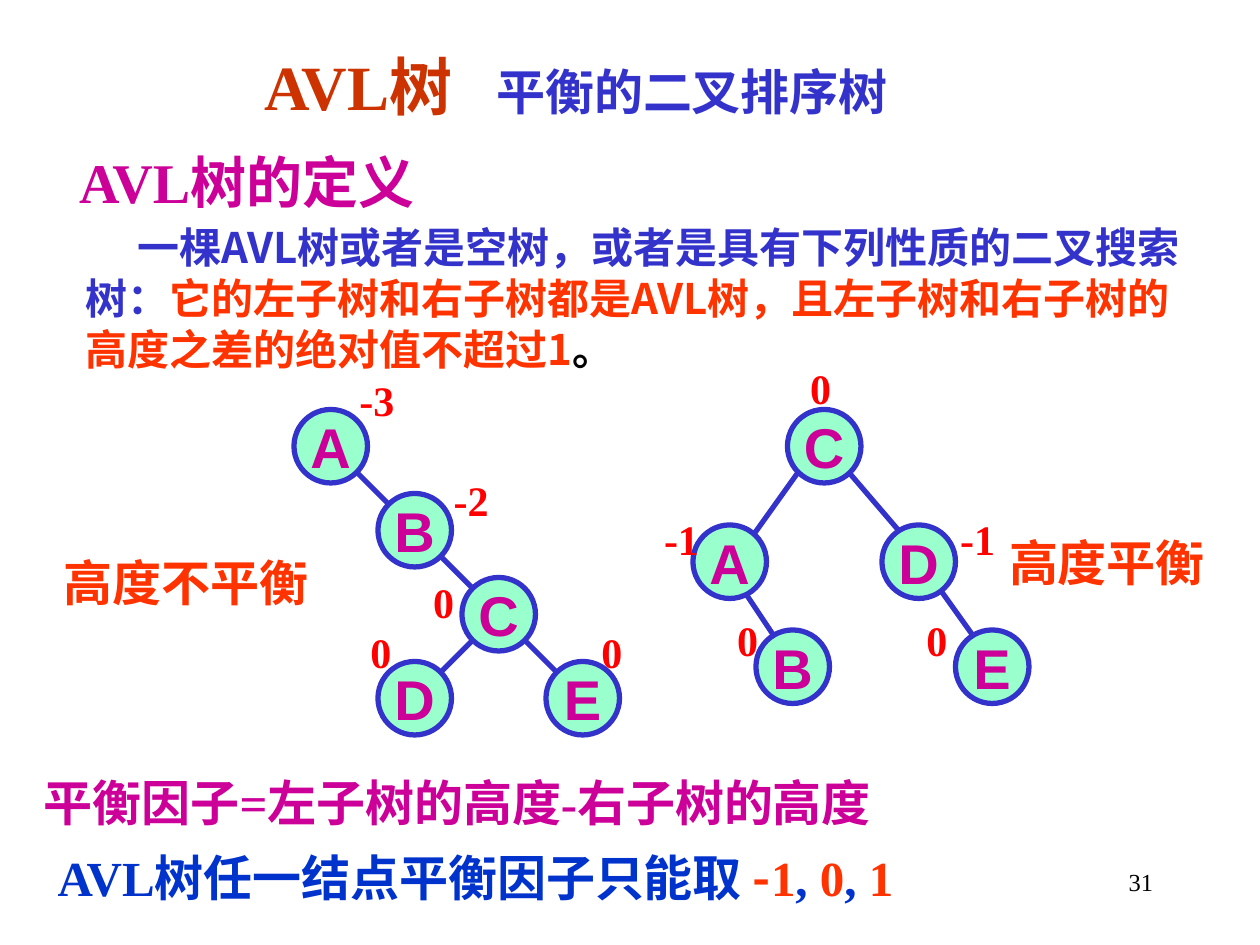
from dataclasses import dataclass

from lxml import etree
from pptx import Presentation
from pptx.dml.color import RGBColor
from pptx.enum.shapes import MSO_CONNECTOR, MSO_SHAPE
from pptx.enum.text import MSO_ANCHOR, PP_ALIGN
from pptx.oxml.ns import qn
from pptx.util import Inches, Pt

OVAL = MSO_SHAPE.OVAL
LINE = MSO_CONNECTOR.STRAIGHT
MIDDLE = MSO_ANCHOR.MIDDLE
CENTER, RIGHT = PP_ALIGN.CENTER, PP_ALIGN.RIGHT


@dataclass(frozen=True)
class Theme:
    serif: str = "Times New Roman"
    sans: str = "Arial"
    han: str = "Noto Sans CJK SC"
    rust: str = "CC3300"
    blue: str = "3333CC"
    royal: str = "0033CC"
    pink: str = "CC0099"
    orange: str = "FF3300"
    red: str = "FF0000"
    mint: str = "99FFCC"
    black: str = "000000"
    title: int = 36
    head: int = 32
    sub: int = 28
    body: int = 24
    foot: int = 14
    lead: float = 1.21


T = Theme()
UNIT = 1 / 12  # trees sit on a grid of twelfths of an inch
NODE = 7 * UNIT

# name, column, row, factor, and the factor's offset from the node in inches
LEFT_NODES = [
    ("A", 0, 0, "-3", 0.52, -0.28),
    ("B", 8, 8, "-2", 0.6, -0.15),
    ("C", 16, 16, "0", -0.23, -0.01),
    ("D", 8, 24, "0", -0.06, -0.28),
    ("E", 24, 24, "0", 0.44, -0.28),
]
LEFT_EDGES = [(20, 20, 26, 26), (12, 12, 18, 18), (4, 4, 10, 10),
              (18, 21, 12, 27)]
RIGHT_NODES = [
    ("A", 0, 11, "-1", -0.23, -0.09),
    ("B", 6, 21, "0", -0.15, -0.12),
    ("C", 9, 0, "0", 0.18, -0.37),
    ("D", 18, 11, "-1", 0.62, -0.09),
    ("E", 25, 21, "0", -0.23, -0.12),
]
RIGHT_EDGES = [(4, 16, 8, 22), (22, 15, 27, 22), (14, 5, 20, 12),
               (10, 6, 5, 13)]


def color(code):
    return RGBColor.from_string(code)


def add_run(para, text, size, code, font=T.serif, bold=True):
    run = para.add_run()
    run.text = text
    run.font.size, run.font.bold, run.font.name = Pt(size), bold, font
    run.font.color.rgb = color(code)
    east = etree.SubElement(run._r.get_or_add_rPr(), qn("a:ea"))
    east.set("typeface", T.han)


def add_text(slide, box, runs, lead=T.lead):
    """Place one paragraph of runs in a text box and return the frame."""
    frame = slide.shapes.add_textbox(*map(Inches, box)).text_frame
    frame.word_wrap = True
    para = frame.paragraphs[0]
    for run in runs:
        add_run(para, *run)
    if lead:
        para.line_spacing = Pt(round(runs[0][1] * lead))
    return frame


def add_title(slide, box):
    frame = add_text(slide, box, [
        ("AVL树\t", T.title, T.rust),
        ("平衡的二叉排序树", T.sub, T.blue),
    ])
    frame.vertical_anchor = MIDDLE
    props = frame.paragraphs[0]._p.get_or_add_pPr()
    tabs = etree.SubElement(props, qn("a:tabLst"))
    tab = etree.SubElement(tabs, qn("a:tab"))
    tab.set("pos", str(Inches(1.84)))
    tab.set("algn", "l")


def add_rule(slide, box):
    """Place the definition with its first line indented."""
    frame = add_text(slide, box, [
        ("一棵AVL树或者是空树，或者是具有下列性质的二叉搜索树：",
         T.body, T.blue, T.han),
        ("它的左子树和右子树都是AVL树，且左子树和右子树的高度之差的绝对值不超过1",
         T.body, T.orange, T.han),
        ("。", T.body, T.black, T.han),
    ])
    props = frame.paragraphs[0]._p.get_or_add_pPr()
    props.set("indent", str(Inches(0.41)))


def add_edge(slide, ends):
    edge = slide.shapes.add_connector(LINE, *map(Inches, ends))
    edge.line.color.rgb = color(T.blue)
    edge.line.width = Pt(3)
    etree.SubElement(edge._element.spPr, qn("a:effectLst"))


def add_node(slide, name, left, top):
    node = slide.shapes.add_shape(
        OVAL, *map(Inches, (left, top, NODE, NODE)))
    node.shadow.inherit = False
    node.fill.solid()
    node.fill.fore_color.rgb = color(T.mint)
    node.line.color.rgb = color(T.blue)
    node.line.width = Pt(3)
    frame = node.text_frame
    frame.word_wrap = False
    frame.vertical_anchor = MIDDLE
    para = frame.paragraphs[0]
    para.alignment = CENTER
    add_run(para, name, T.head, T.pink, T.sans)


def add_factor(slide, text, left, top):
    frame = add_text(slide, (left, top, 0.35, 0.4),
                     [(text, T.body, T.red)], None)
    frame.margin_left = frame.margin_right = 0
    frame.margin_top = frame.margin_bottom = 0


def add_tree(slide, left, top, nodes, edges):
    for x1, y1, x2, y2 in edges:
        add_edge(slide, (left + x1 * UNIT, top + y1 * UNIT,
                         left + x2 * UNIT, top + y2 * UNIT))
    spots = [(left + col * UNIT, top + row * UNIT)
             for _, col, row, *_ in nodes]
    for node, spot in zip(nodes, spots):
        add_node(slide, node[0], *spot)
    for (_, _, _, factor, dx, dy), (x, y) in zip(nodes, spots):
        add_factor(slide, factor, x + dx, y + dy)


def add_range(slide, box):
    """Place the line that lists the allowed balance factors."""
    add_text(slide, box, [
        ("AVL树任一结点平衡因子只能取 ", T.sub, T.royal),
        ("-", T.sub, T.orange, T.han),
        ("1", T.sub, T.orange),
        (", ", T.sub, T.royal),
        ("0", T.sub, T.orange),
        (", ", T.sub, T.royal),
        ("1", T.sub, T.orange),
    ])


def add_number(slide, box):
    frame = add_text(slide, box,
                     [("31", T.foot, T.black, T.serif, False)], None)
    frame.paragraphs[0].alignment = RIGHT


def main():
    deck = Presentation()
    deck.slide_width, deck.slide_height = Inches(10), Inches(7.5)
    slide = deck.slides.add_slide(deck.slide_layouts[6])
    add_title(slide, (2, 0.42, 7.25, 0.5))
    add_text(slide, (0.53, 1.11, 3.1, 0.64),
             [("AVL树的定义", T.head, T.pink)])
    add_rule(slide, (0.58, 1.71, 9.08, 1.3))
    add_tree(slide, 28 * UNIT, 3.25, LEFT_NODES, LEFT_EDGES)
    add_tree(slide, 5.5, 3.25, RIGHT_NODES, RIGHT_EDGES)
    add_text(slide, (0.41, 4.33, 2.2, 0.57),
             [("高度不平衡", T.sub, T.orange)])
    add_text(slide, (7.91, 4.17, 1.89, 0.57),
             [("高度平衡", T.sub, T.orange)])
    add_text(slide, (0.25, 6.08, 7.4, 0.57),
             [("平衡因子=左子树的高度-右子树的高度", T.sub, T.pink)])
    add_range(slide, (0.36, 6.67, 7.26, 0.57))
    add_number(slide, (7.17, 6.83, 2.08, 0.5))
    deck.save("out.pptx")


if __name__ == "__main__":
    main()
